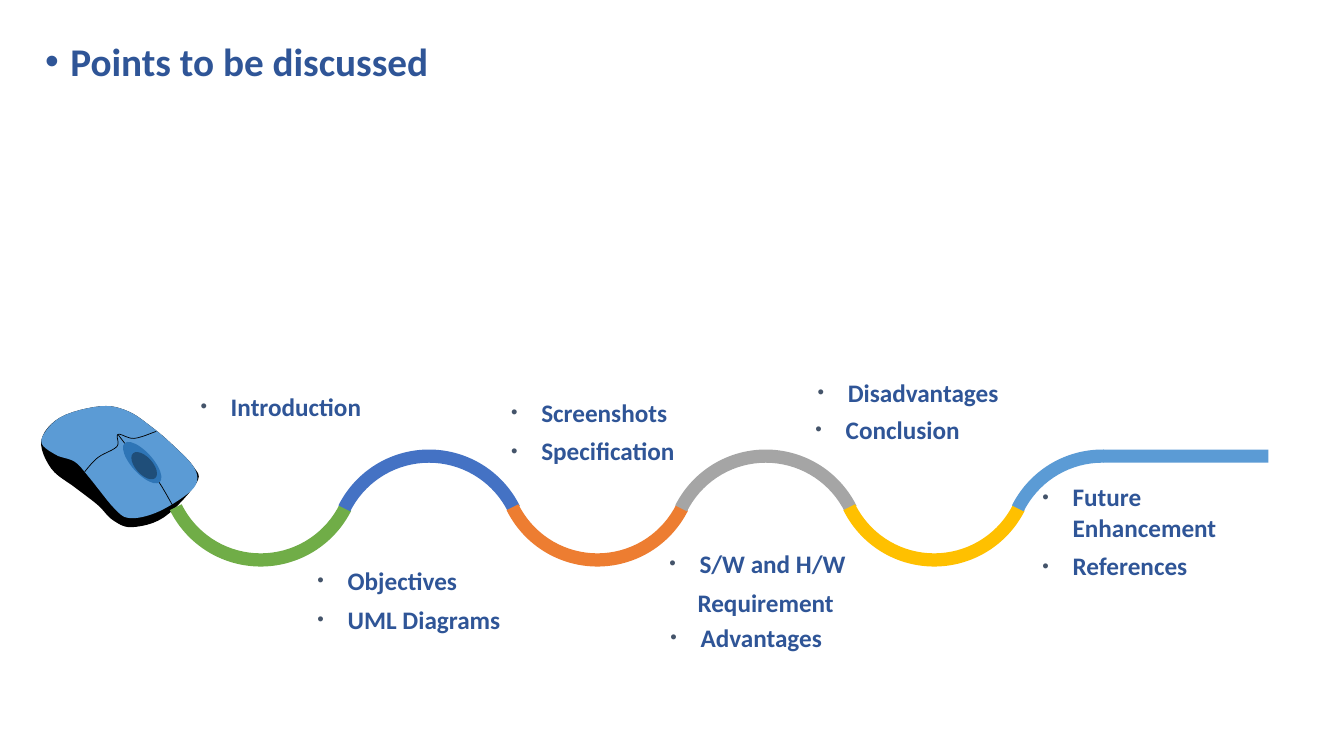
from lxml.etree import SubElement
from pptx import Presentation
from pptx.dml.color import RGBColor
from pptx.enum.shapes import MSO_SHAPE as Preset
from pptx.oxml.ns import qn
from pptx.util import Inches, Pt

deck = Presentation()
deck.slide_width, deck.slide_height = Inches(13.33), Inches(7.5)
page = deck.slides.add_slide(deck.slide_layouts[6])


def paint(shape, color):
    shape.shadow.inherit = False
    shape.fill.solid()
    shape.fill.fore_color.rgb = RGBColor.from_string(color)
    shape.line.fill.background()


def write(place, lines, size, hang, bullet_color, bullet_size, spacing=1.0):
    box = page.shapes.add_textbox(*map(Inches, place))
    frame = box.text_frame
    frame.word_wrap = True
    for index, text in enumerate(lines):
        bulleted = text != "Requirement"
        para = frame.paragraphs[0] if index == 0 else frame.add_paragraph()
        para.line_spacing = spacing
        para.space_before = Pt(6 if index else 0)
        props = para._p.get_or_add_pPr()
        props.set("marL", str(Inches(hang if bulleted else 0.28)))
        props.set("indent", str(Inches(-hang if bulleted else 0)))
        if bulleted:
            tint = SubElement(props, qn("a:buClr"))
            SubElement(tint, qn("a:srgbClr"), val=bullet_color)
            SubElement(props, qn("a:buSzPct"), val=str(bullet_size * 1000))
            SubElement(props, qn("a:buFont"), typeface="Arial")
            SubElement(props, qn("a:buChar"), char="•")
        span = para.add_run()
        span.text = text
        for name, value in {"name": "Calibri", "size": Pt(size), "bold": True}.items():
            setattr(span.font, name, value)
        span.font.color.rgb = RGBColor.from_string("2F5597")


write((0.35, 0.37, 12.66, 0.79), ["Points to be discussed"], 28, 0.25, "2F5597", 100, 0.9)

mouse_back = [(0.41, 4.37), (0.6, 4.14), (1, 4.03), (1.27, 4.08), (1.51, 4.24),
              (1.72, 4.42), (1.92, 4.63), (1.95, 4.79)]
mouse_base = [(1.63, 5.13), (1.31, 5.23), (1.12, 5.16), (0.97, 5.01), (0.75, 4.84), (0.51, 4.65)]
mouse_rim = [(1.82, 4.93), (1.54, 5.09), (1.29, 5.14), (1.14, 5.05), (0.88, 4.73),
             (0.74, 4.58), (0.55, 4.51)]
button_seam = [(0.84, 4.68), (0.97, 4.54), (1.16, 4.43), (1.17, 4.31), (1.33, 4.35), (1.55, 4.28)]
middle_seam = [(1.17, 4.31), (1.32, 4.5), (1.54, 4.73), (1.71, 5.01)]
mouse_curves = [(mouse_back + mouse_base, "000000"), (mouse_back + mouse_rim, "5B9BD5"),
                (button_seam, None), (middle_seam, None)]
steps = 6
for anchors, color in mouse_curves:
    closed = color is not None
    if closed:
        padded = anchors[-1:] + anchors + anchors[:2]
    else:
        padded = anchors[:1] + anchors + anchors[-1:]
    points = []
    for before, start, end, after in zip(padded, padded[1:], padded[2:], padded[3:]):
        for step in range(1, steps + 1):
            t = step / steps
            points.append([
                Inches(b + t * (c - a + t * (2 * a - 5 * b + 4 * c - d + t * (3 * b - a - 3 * c + d))) / 2)
                for a, b, c, d in zip(before, start, end, after)])
    outline = page.shapes.build_freeform(*map(Inches, anchors[0]))
    outline.add_line_segments(points, close=closed)
    part = outline.convert_to_shape()
    paint(part, color or "000000")
    if not closed:
        part.fill.background()
        part.line.color.rgb = RGBColor.from_string("000000")
        part.line.width = Pt(0.5)

wheel_parts = [(1.41, 4.59, 0.52, 0.21, "2E75B6"), (1.43, 4.62, 0.33, 0.17, "1F4E79")]
for middle_x, middle_y, length, breadth, color in wheel_parts:
    wheel = page.shapes.add_shape(
        Preset.OVAL, Inches(middle_x - length / 2), Inches(middle_y - breadth / 2),
        Inches(length), Inches(breadth))
    wheel.rotation = 48
    paint(wheel, color)

arc_size, arc_pitch = 2.01, 1.67
cable_colors = ["70AD47", "4472C4", "ED7D31", "A5A5A5", "FFC000", "5B9BD5"]
for index, color in enumerate(cable_colors):
    dips = index % 2 == 0
    last = index == len(cable_colors) - 1
    arc = page.shapes.add_shape(
        Preset.BLOCK_ARC, Inches(1.58 + index * arc_pitch), Inches(3.61 if dips else 4.46),
        Inches(arc_size), Inches(arc_size))
    arc.rotation = 180 if dips else 0
    for slot, value in enumerate((123.99, 162.43 if last else 200.21, 0.065)):
        arc.adjustments[slot] = value
    paint(arc, color)
cable_end = page.shapes.add_shape(
    Preset.RECTANGLE, Inches(10.94), Inches(4.46), Inches(1.64), Inches(0.13))
paint(cable_end, cable_colors[-1])

topics = [
    (1.89, 3.83, 2.21, ["Introduction"]),
    (3.05, 5.56, 2.43, ["Objectives", "UML Diagrams"]),
    (4.97, 3.89, 2.19, ["Screenshots", "Specification"]),
    (7.99, 4.06, 2.74, ["Conclusion"]),
    (6.55, 6.12, 2.41, ["Advantages"]),
    (10.24, 4.73, 2.41, ["Future Enhancement", "References"]),
    (6.54, 5.39, 2.03, ["S/W and H/W", "Requirement"]),
    (8.01, 3.69, 2.01, ["Disadvantages"]),
]
for left, top, width, lines in topics:
    write((left, top, width, 0.01 + 0.39 * len(lines)), lines, 18, 0.3, "44546A", 73)

deck.save("out.pptx")
